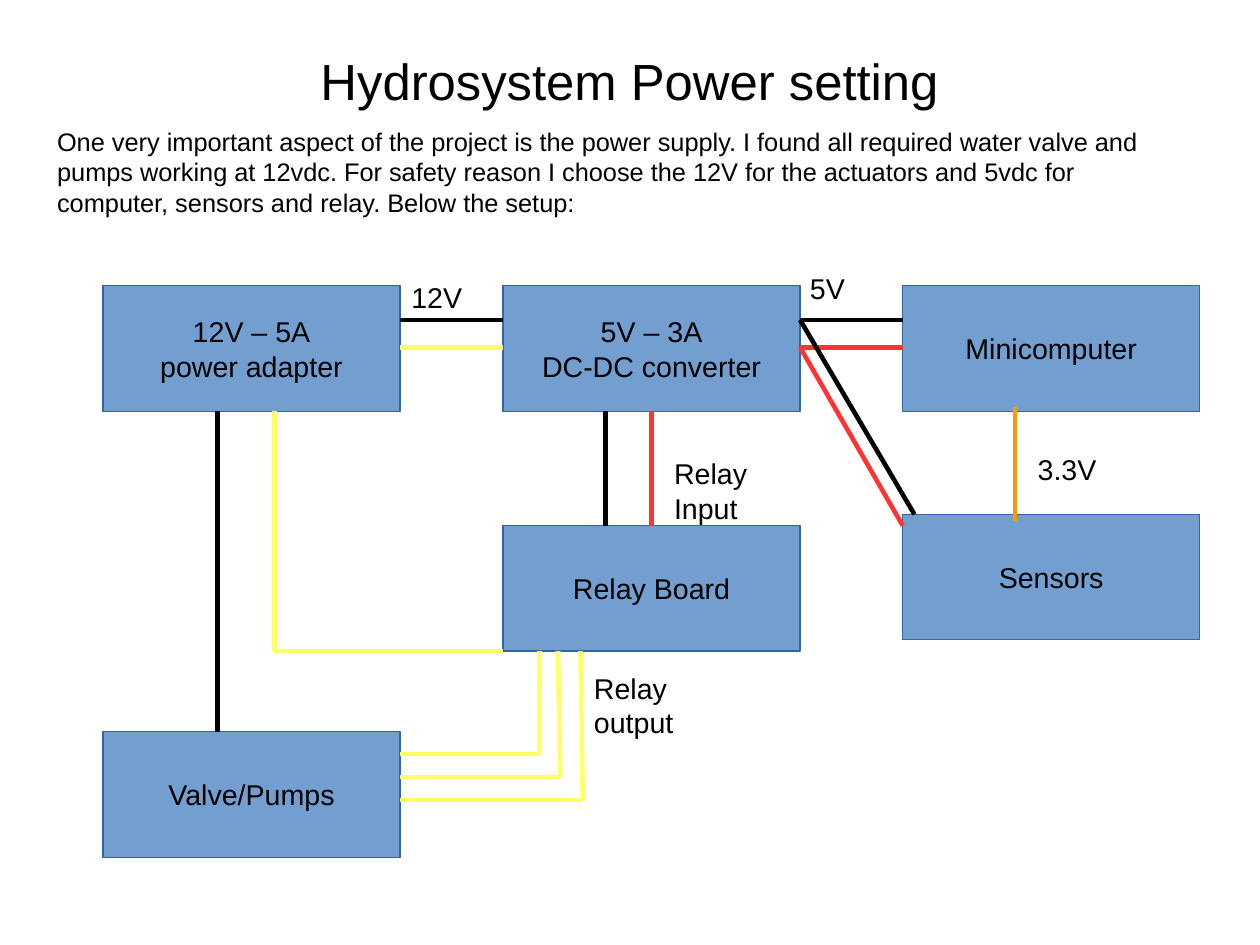
"""Build the Hydrosystem power wiring slide."""
from dataclasses import dataclass

from lxml.etree import SubElement
from pptx import Presentation
from pptx.dml.color import RGBColor as Rgb
from pptx.enum.shapes import MSO_CONNECTOR as Connector
from pptx.enum.shapes import MSO_SHAPE as Preset
from pptx.enum.text import MSO_ANCHOR as Anchor
from pptx.enum.text import MSO_AUTO_SIZE as AutoSize
from pptx.enum.text import PP_ALIGN as Align
from pptx.oxml.ns import qn
from pptx.util import Cm, Pt


@dataclass(frozen=True)
class Theme:
    font: str = "Arial"
    title_size: float = 32
    body_size: float = 16
    label_size: float = 18
    wire_width: float = 2.89
    black: str = "000000"
    yellow: str = "FFFF66"
    red: str = "FF3333"
    orange: str = "FF9900"
    box_fill: str = "729FCF"
    box_line: str = "3465A4"


theme = Theme()


def write(shape, text, size=theme.label_size, align=Align.LEFT,
          anchor=Anchor.TOP, wrap=True, inset=(0.25, 0.13)):
    frame = shape.text_frame
    frame.text = text
    frame.auto_size = AutoSize.NONE
    frame.word_wrap = wrap
    frame.vertical_anchor = anchor
    frame.margin_left = frame.margin_right = Cm(inset[0])
    frame.margin_top = frame.margin_bottom = Cm(inset[1])
    for para in frame.paragraphs:
        para.alignment = align
        for span in para.runs:
            span.font.name = theme.font
            span.font.size = Pt(size)
            span.font.color.rgb = Rgb.from_string(theme.black)


def add_wire(color, *ends):
    wire = page.shapes.add_connector(Connector.STRAIGHT, *map(Cm, ends))
    wire.line.color.rgb = Rgb.from_string(color)
    wire.line.width = Pt(theme.wire_width)
    SubElement(wire._element.spPr, qn("a:effectLst"))


deck = Presentation()
deck.slide_width, deck.slide_height = Cm(28), Cm(21)
page = deck.slides.add_slide(deck.slide_layouts[5])

title = page.shapes.title
title.left, title.top, title.width, title.height = map(Cm, (1.4, 0.76, 25.2, 2.06))
write(title, "Hydrosystem Power setting", size=theme.title_size,
      align=Align.CENTER, anchor=Anchor.MIDDLE, inset=(0, 0))

intro = page.shapes.add_textbox(*map(Cm, (1.02, 2.67, 25.02, 2.16)))
write(intro, "One very important aspect of the project is the power supply. "
      "I found all required water valve and pumps working at 12vdc. "
      "For safety reason I choose the 12V for the actuators and 5vdc for "
      "computer, sensors and relay. Below the setup:", size=theme.body_size)

box_width, box_height = 6.6, 2.79
left_column, middle_column, right_column = 2.29, 11.18, 20.06
top_row, sensor_row, relay_row, valve_row = 6.35, 11.43, 11.68, 16.26
for name, left, top in (
    ("12V – 5A\npower adapter", left_column, top_row),
    ("5V – 3A\nDC-DC converter", middle_column, top_row),
    ("Minicomputer", right_column, top_row),
    ("Valve/Pumps", left_column, valve_row),
    ("Relay Board", middle_column, relay_row),
    ("Sensors", right_column, sensor_row),
):
    box = page.shapes.add_shape(
        Preset.RECTANGLE, *map(Cm, (left, top, box_width, box_height)))
    box.shadow.inherit = False
    box.fill.solid()
    box.fill.fore_color.rgb = Rgb.from_string(theme.box_fill)
    box.line.color.rgb = Rgb.from_string(theme.box_line)
    box.line.width = Pt(0)
    write(box, name, align=Align.CENTER, anchor=Anchor.MIDDLE, wrap=False)

adapter_right = left_column + box_width
converter_right = middle_column + box_width
top_bottom = top_row + box_height
relay_bottom = relay_row + box_height
ground, supply = 7.11, 7.72
for wire in (
    (theme.black, adapter_right, ground, middle_column, ground),
    (theme.yellow, adapter_right, supply, middle_column, supply),
    (theme.black, converter_right, ground, right_column, ground),
    (theme.red, converter_right, supply, right_column, supply),
    (theme.black, 13.46, top_bottom, 13.46, relay_row),
    (theme.red, 14.48, top_bottom, 14.48, relay_row),
    (theme.black, 4.83, top_bottom, 4.83, valve_row),
    (theme.yellow, 6.1, top_bottom, 6.1, relay_bottom),
    (theme.yellow, 6.1, relay_bottom, middle_column, relay_bottom),
    (theme.black, converter_right, ground, 20.32, sensor_row),
    (theme.orange, 22.56, 9.04, 22.56, 11.58),
    (theme.red, converter_right, supply, right_column, 11.68),
):
    add_wire(*wire)

for start, corner, level in ((11.99, 11.99, 16.76), (12.4, 12.45, 17.27),
                             (12.9, 12.95, 17.78)):
    add_wire(theme.yellow, adapter_right, level, corner, level)
    add_wire(theme.yellow, start, relay_bottom, corner, level)

for name, left, top, height in (
    ("12V", 8.89, 6.1, 0.97),
    ("5V", 17.75, 5.89, 0.97),
    ("Relay output", 12.95, 14.78, 1.68),
    ("Relay Input", 14.73, 10.01, 1.68),
    ("3.3V", 22.81, 9.91, 0.97),
):
    label = page.shapes.add_textbox(*map(Cm, (left, top, 2.29, height)))
    write(label, name)

deck.save("out.pptx")
